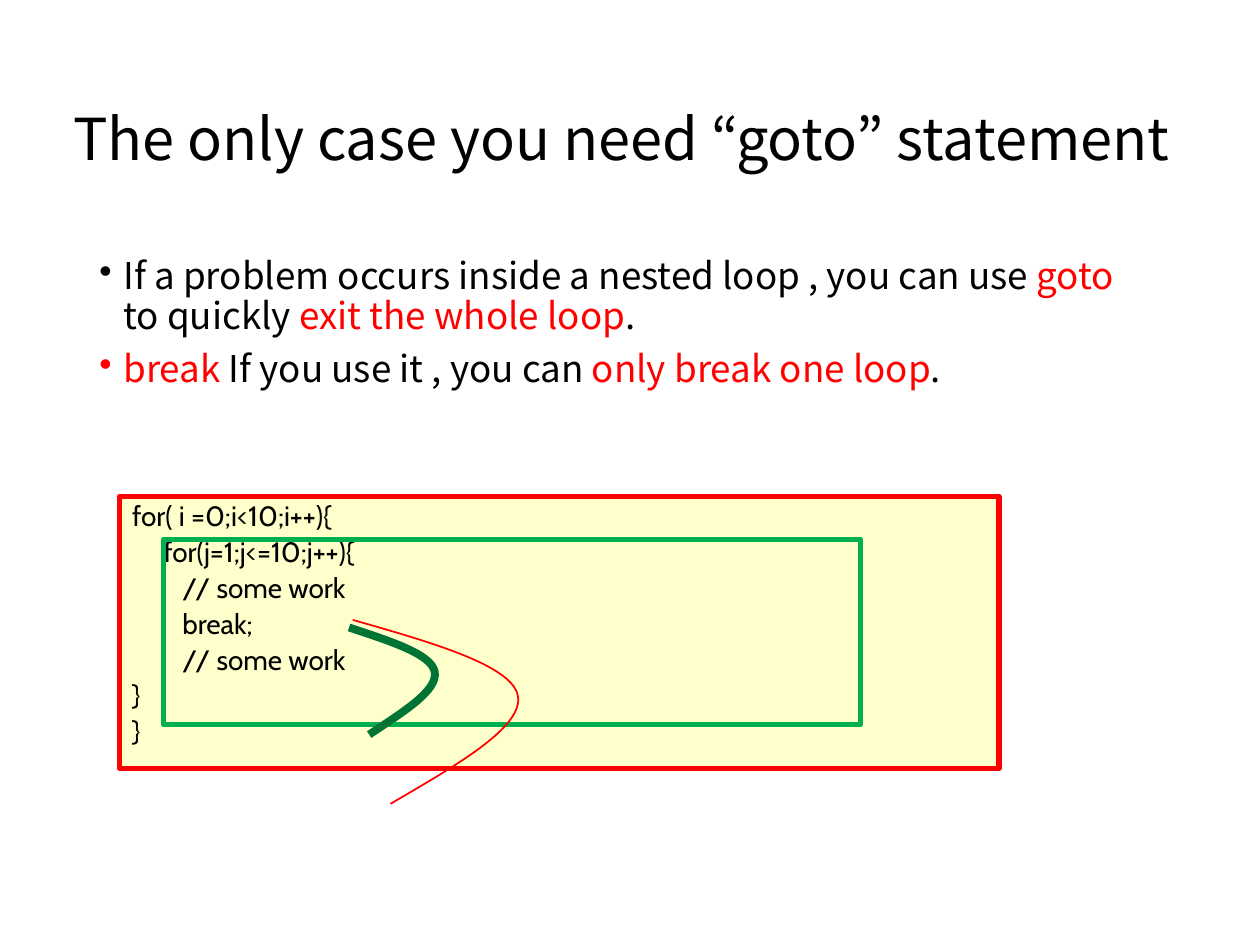
import pptx
import pptx.dml.color
import pptx.enum.shapes
import pptx.enum.text
import pptx.oxml
import pptx.oxml.ns
import pptx.util

Inches = pptx.util.Inches
BODY_FONT = "Noto Sans CJK KR"
CODE_FONT = "Cabin"
BLACK, RED = "000000", "FF0000"


def colour(value):
    return pptx.dml.color.RGBColor.from_string(value)


def add_span(para, text, size, font, color=BLACK):
    span = para.add_run()
    span.text = text
    span.font.size = pptx.util.Pt(size)
    span.font.name = font
    span.font.color.rgb = colour(color)


def set_para(para, before=0, hanging=0, bullet=None):
    """Set spacing, a hanging indent in inches and an optional bullet."""
    para.alignment = pptx.enum.text.PP_ALIGN.LEFT
    para.line_spacing = 0.9
    para.space_before = pptx.util.Pt(before)
    props = para._p.get_or_add_pPr()
    props.set("marL", str(Inches(hanging)))
    props.set("indent", str(Inches(-hanging)))
    if bullet:
        mark = pptx.oxml.parse_xml(
            f'<a:buChar {pptx.oxml.ns.nsdecls("a")} char="{bullet}"/>')
        props.append(mark)


def next_para(frame, index):
    return frame.add_paragraph() if index else frame.paragraphs[0]


def style_outline(shape, color, width):
    shape.shadow.inherit = False
    shape.line.color.rgb = colour(color)
    shape.line.width = pptx.util.Pt(width)


def place_title(page, left, top, width, height):
    title = page.shapes.title
    title.left, title.top = Inches(left), Inches(top)
    title.width, title.height = Inches(width), Inches(height)
    frame = title.text_frame
    frame.word_wrap = True
    frame.vertical_anchor = pptx.enum.text.MSO_ANCHOR.MIDDLE
    para = frame.paragraphs[0]
    set_para(para)
    add_span(para, "The only case you need “goto” statement", 33, BODY_FONT)


def add_points(page, left, top, width, height):
    points = [
        [("If a problem occurs inside a nested loop , you can use ", BLACK),
         ("goto", RED), (" to quickly ", BLACK),
         ("exit the whole loop", RED), (".", BLACK)],
        [("break", RED), (" If you use it , you can ", BLACK),
         ("only break one loop", RED), (".", BLACK)],
    ]
    box = page.shapes.add_textbox(
        Inches(left), Inches(top), Inches(width), Inches(height))
    frame = box.text_frame
    frame.word_wrap = True
    frame.margin_right = Inches(0.3)
    for index, point in enumerate(points):
        para = next_para(frame, index)
        set_para(para, before=7.5 if index else 0, hanging=0.19, bullet="•")
        for text, color in point:
            add_span(para, text, 21, BODY_FONT, color)


def add_rectangle(page, left, top, width, height, line, fill=None):
    box = page.shapes.add_shape(
        pptx.enum.shapes.MSO_SHAPE.RECTANGLE,
        Inches(left), Inches(top), Inches(width), Inches(height))
    style_outline(box, line, 3)
    if fill:
        box.fill.solid()
        box.fill.fore_color.rgb = colour(fill)
    else:
        box.fill.background()
    return box


def add_curve(page, points, color, width):
    """Draw cubic curves: a start point, then three points per segment."""
    scaled = [(Inches(x), Inches(y)) for x, y in points]
    builder = page.shapes.build_freeform(*scaled[0])
    builder.add_line_segments(scaled[1:], close=False)
    curve = builder.convert_to_shape()
    curve.fill.background()
    style_outline(curve, color, width)
    lines = list(curve._element.iter(pptx.oxml.ns.qn("a:lnTo")))
    for start in range(0, len(lines), 3):
        group = lines[start:start + 3]
        segment = pptx.oxml.parse_xml(
            f'<a:cubicBezTo {pptx.oxml.ns.nsdecls("a")}/>')
        group[0].addprevious(segment)
        for line in group:
            segment.append(line[0])
            line.getparent().remove(line)


def add_code_panel(page, left, top, width, height):
    code = """for( i =0;i<10;i++){
     for(j=1;j<=10;j++){
        // some work
        break;
        // some work
}
}"""
    outer = add_rectangle(page, left, top, width, height, RED, "FFFFCC")
    frame = outer.text_frame
    frame.word_wrap = True
    frame.vertical_anchor = pptx.enum.text.MSO_ANCHOR.TOP
    for index, text in enumerate(code.split("\n")):
        para = next_para(frame, index)
        set_para(para, before=3.2 if index else 0, hanging=0.38)
        add_span(para, text, 16, CODE_FONT)

    add_rectangle(page, left + 0.35, top + 0.34, 5.53, 1.47, "00B050")
    break_exit = [(1.82, 1.04), (2.15, 1.15), (2.47, 1.25), (2.5, 1.39),
                  (2.53, 1.54), (2.25, 1.71), (1.98, 1.89)]
    goto_exit = [(1.85, 0.98), (2.48, 1.16), (3.11, 1.34), (3.16, 1.58),
                 (3.21, 1.83), (2.68, 2.13), (2.15, 2.44)]
    for points, color, weight in ((break_exit, "007434", 4.5),
                                  (goto_exit, RED, 1)):
        add_curve(page, [(left + x, top + y) for x, y in points],
                  color, weight)


def main():
    deck = pptx.Presentation()
    deck.slide_width, deck.slide_height = Inches(10), Inches(7.5)
    page = deck.slides.add_slide(deck.slide_layouts[5])
    place_title(page, 0.48, 0.4, 9.39, 1.45)
    add_points(page, 0.69, 2, 8.62, 4.76)
    add_code_panel(page, 0.95, 3.94, 6.98, 2.16)
    deck.save("out.pptx")


if __name__ == "__main__":
    main()
